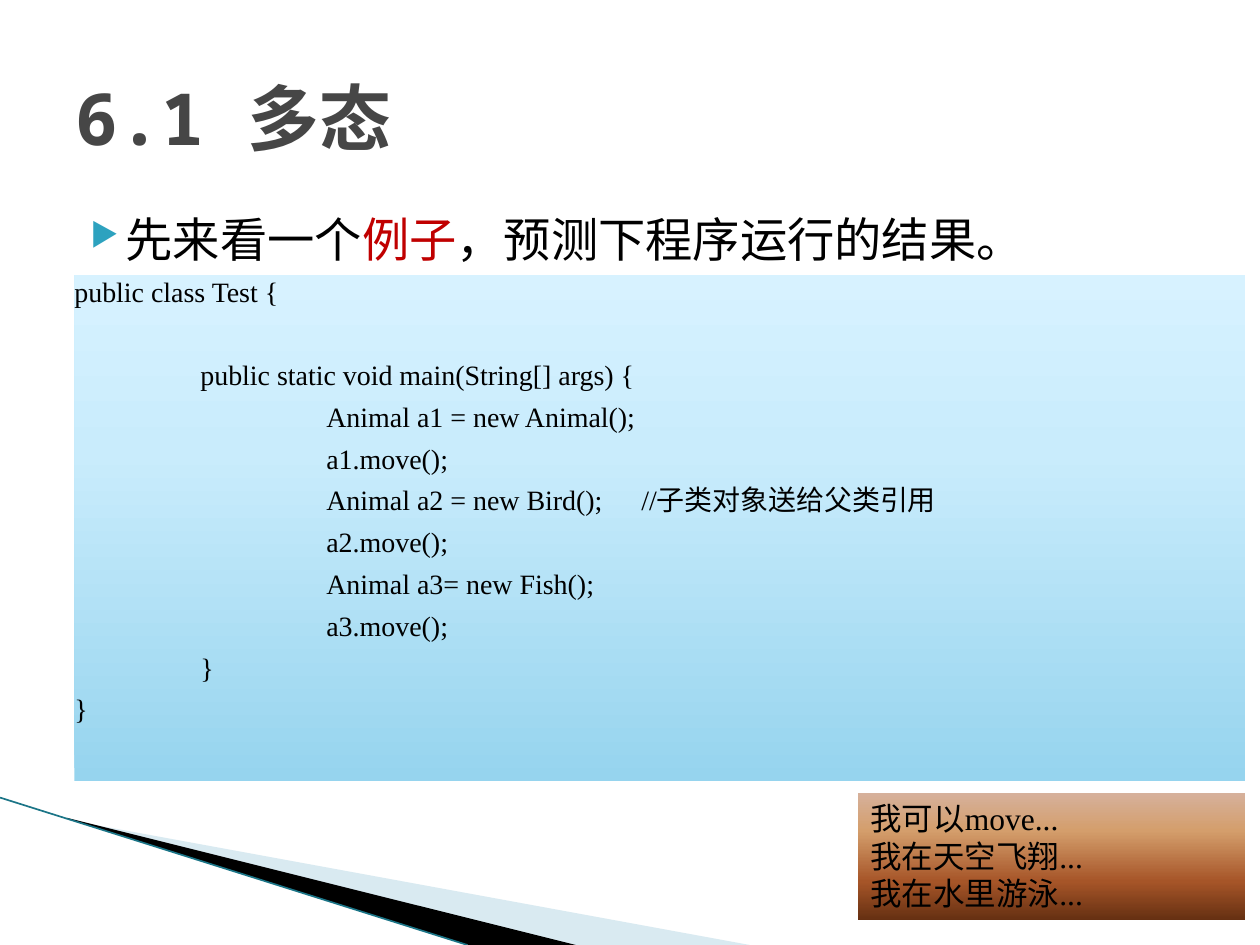
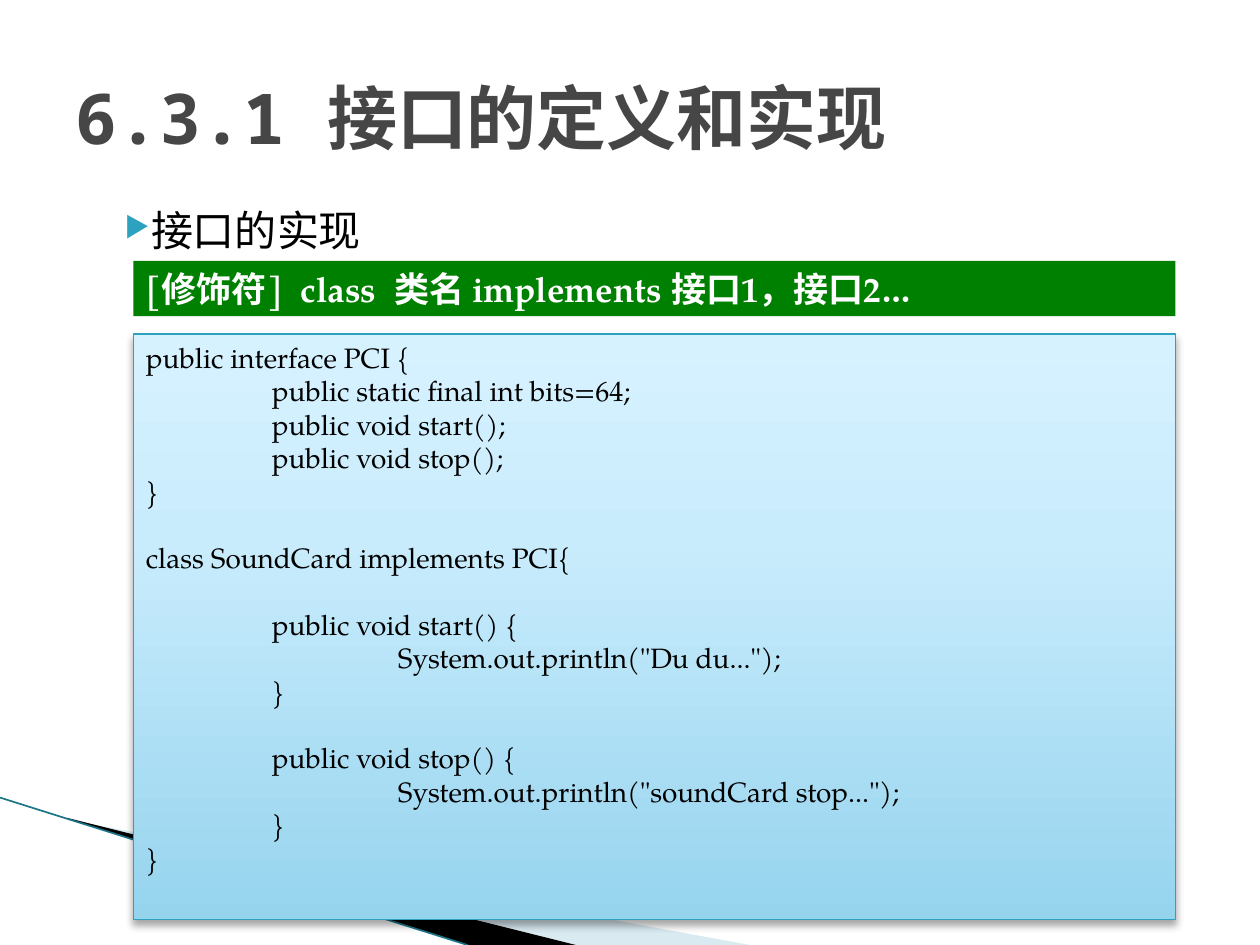
from lxml import etree
from pptx import Presentation
from pptx.dml.color import RGBColor
from pptx.enum import shapes, text
from pptx.oxml import parse_xml
from pptx.oxml.ns import qn
from pptx.util import Inches, Pt

# Content: a tab is one level of code indent, an empty line is a gap
INTRO = [("先来看一个", "000000"), ("例子", "C00000"),
         ("，预测下程序运行的结果。", "000000")]
TEST = """public class Test {

\tpublic static void main(String[] args) {
\t\tAnimal a1 = new Animal();
\t\ta1.move();
\t\tAnimal a2 = new Bird();\t//子类对象送给父类引用
\t\ta2.move();
\t\tAnimal a3= new Fish();
\t\ta3.move();
\t}
}""".split("\n")
OUTPUT = ["我可以move...", "我在天空飞翔...", "我在水里游泳..."]
SYNTAX = ["[修饰符]  class  类名 implements 接口1，接口2…"]
CARD = """public interface PCI {
\tpublic static final int bits=64;
\tpublic void start();
\tpublic void stop();
}

class SoundCard implements PCI{

\tpublic void start() {
\t\tSystem.out.println("Du du...");
\t}

\tpublic void stop() {
\t\tSystem.out.println("soundCard stop...");
\t}
}""".split("\n")

# Shared style
MONO, TIMES, PAGELLA = "Noto Sans Mono", "Times New Roman", "TeX Gyre Pagella"
BLACK, GREY, TEAL = "000000", "464646", "2DA2BF"
SKY = (270, [(0, "96D4EE"), (65, "C9ECFC"), (100, "D7F2FF")])
CLAY = (90, [(0, "D6B19C"), (30, "D49E6C"), (70, "A65528"), (100, "663012")])
TITLE = (0.5, 0.3, 9, 1.25)
BODY = (0.5, 1.62, 9, 4.95)
WEDGES = [([(0.55, 6.51), (5.95, 7.5), (4.56, 7.5), (0.55, 6.5)], "A0CBDC", 40),
          ([(0.53, 6.49), (4.57, 7.5), (3.72, 7.5), (0.54, 6.5)], BLACK, 100)]
EDGE = [(0, 6.33), (3.71, 7.5)]


def hue(code):
    return RGBColor.from_string(code)


def sub(node, tag, **attrs):
    return etree.SubElement(node, qn("a:" + tag), {k: str(v) for k, v in attrs.items()})


def clear(color, share):
    """Give a solid colour an opacity in percent."""
    sub(color, "alpha", val=share * 1000)


def write(shape, lines, size=16, font=MONO, color=BLACK, bold=False, before=0,
          spacing=None, inset=None, middle=False, bullet=None):
    """Fill a shape with lines; a line is a string or a list of (text, colour)."""
    frame = shape.text_frame
    frame.word_wrap = True
    frame.vertical_anchor = text.MSO_ANCHOR.MIDDLE if middle else text.MSO_ANCHOR.TOP
    if inset is not None:
        frame.margin_left = frame.margin_right = Inches(inset)
        frame.margin_top = frame.margin_bottom = Inches(inset)
    gap, first = before, True
    for line in lines:
        if not line:
            gap += size * 1.17 + before
            continue
        para = frame.paragraphs[0] if first else frame.add_paragraph()
        first = False
        para.alignment = text.PP_ALIGN.LEFT
        para.space_before = Pt(gap)
        gap = before
        if spacing:
            para.line_spacing = spacing
        props = para._p.get_or_add_pPr()
        if isinstance(line, str):
            bare = line.lstrip("\t")
            props.set("marL", str(Inches(len(line) - len(bare))))
            line = [(bare, color)]
        if bullet:
            props.set("marL", str(Inches(bullet[0])))
            props.set("indent", str(Inches(bullet[1])))
            sub(sub(props, "buClr"), "srgbClr", val=TEAL)
            sub(props, "buSzPct", val=68000)
            sub(props, "buChar", char="▶")
        for words, tint in line:
            run = para.add_run()
            run.text = words
            run.font.name, run.font.size, run.font.bold = font, Pt(size), bold
            run.font.color.rgb = hue(tint)


def label(slide, place, lines, **style):
    write(slide.shapes.add_textbox(*map(Inches, place)), lines, **style)


def panel(slide, place, fill, lines, line=None, shadow=False, **style):
    """Draw a text rectangle; fill is a colour or (angle, stops)."""
    box = slide.shapes.add_shape(shapes.MSO_SHAPE.RECTANGLE, *map(Inches, place))
    box.shadow.inherit = False
    if isinstance(fill, str):
        box.fill.solid()
        box.fill.fore_color.rgb = hue(fill)
    else:
        angle, stops = fill
        box.fill.gradient()
        grad = box._element.spPr.find(qn("a:gradFill"))
        grad.find(qn("a:lin")).set("ang", str(angle * 60000))
        group = grad.find(qn("a:gsLst"))
        for old in list(group):
            group.remove(old)
        for pos, tint in stops:
            sub(sub(group, "gs", pos=pos * 1000), "srgbClr", val=tint)
    if line:
        box.line.color.rgb = hue(line)
        box.line.width = Pt(0.75)
    else:
        box.line.fill.background()
    if shadow:
        drop = sub(box._element.spPr.find(qn("a:effectLst")), "outerShdw",
                   blurRad=Pt(4), dist=Pt(3), dir=90 * 60000, rotWithShape=0)
        clear(sub(drop, "srgbClr", val=BLACK), 35)
    write(box, lines, **style)


def start(deck, title, size):
    """Add a slide with the corner wedges and its title."""
    slide = deck.slides.add_slide(deck.slide_layouts[6])
    for points, tint, share in WEDGES:
        spots = [(Inches(x), Inches(y)) for x, y in points]
        path = slide.shapes.build_freeform(*spots[0])
        path.add_line_segments(spots[1:])
        wedge = path.convert_to_shape()
        wedge.shadow.inherit = False
        wedge.fill.solid()
        wedge.fill.fore_color.rgb = hue(tint)
        wedge.line.fill.background()
        if share < 100:
            clear(wedge._element.spPr.find(qn("a:solidFill"))[0], share)
    ends = [Inches(v) for spot in EDGE for v in spot]
    edge = slide.shapes.add_connector(shapes.MSO_CONNECTOR.STRAIGHT, *ends)
    edge.line.color.rgb = hue("1B7587")
    edge.line.width = Pt(0.95)
    sub(edge._element.spPr, "effectLst")
    label(slide, TITLE, [title], size=size, color=GREY, bold=True, middle=True)
    return slide


def main():
    deck = Presentation()
    deck.slide_width, deck.slide_height = Inches(10), Inches(7.5)

    # Polymorphism example
    poly = start(deck, "6.1 多态", 41)
    label(poly, BODY, [INTRO], size=27, before=4, bullet=(0.4, -0.28))
    panel(poly, (0.59, 2.18, 9.29, 4.02), SKY, TEST, font=TIMES, before=4.7, inset=0)
    panel(poly, (6.81, 6.29, 3.07, 1.01), CLAY, OUTPUT, size=18, font=TIMES)

    # Interface definition
    face = start(deck, "6.3.1 接口的定义和实现", 40)
    label(face, BODY, ["接口的实现"], size=24, before=4, spacing=0.9, bullet=(0, 0.39))
    panel(face, (1.06, 2.65, 8.27, 4.65), SKY, CARD, line=TEAL, shadow=True, font=PAGELLA)
    panel(face, (1.06, 2.07, 8.27, 0.44), "008000", SYNTAX, size=20, font=PAGELLA,
          color="FFFFFF", bold=True)

    deck.save("out.pptx")


if __name__ == "__main__":
    main()
